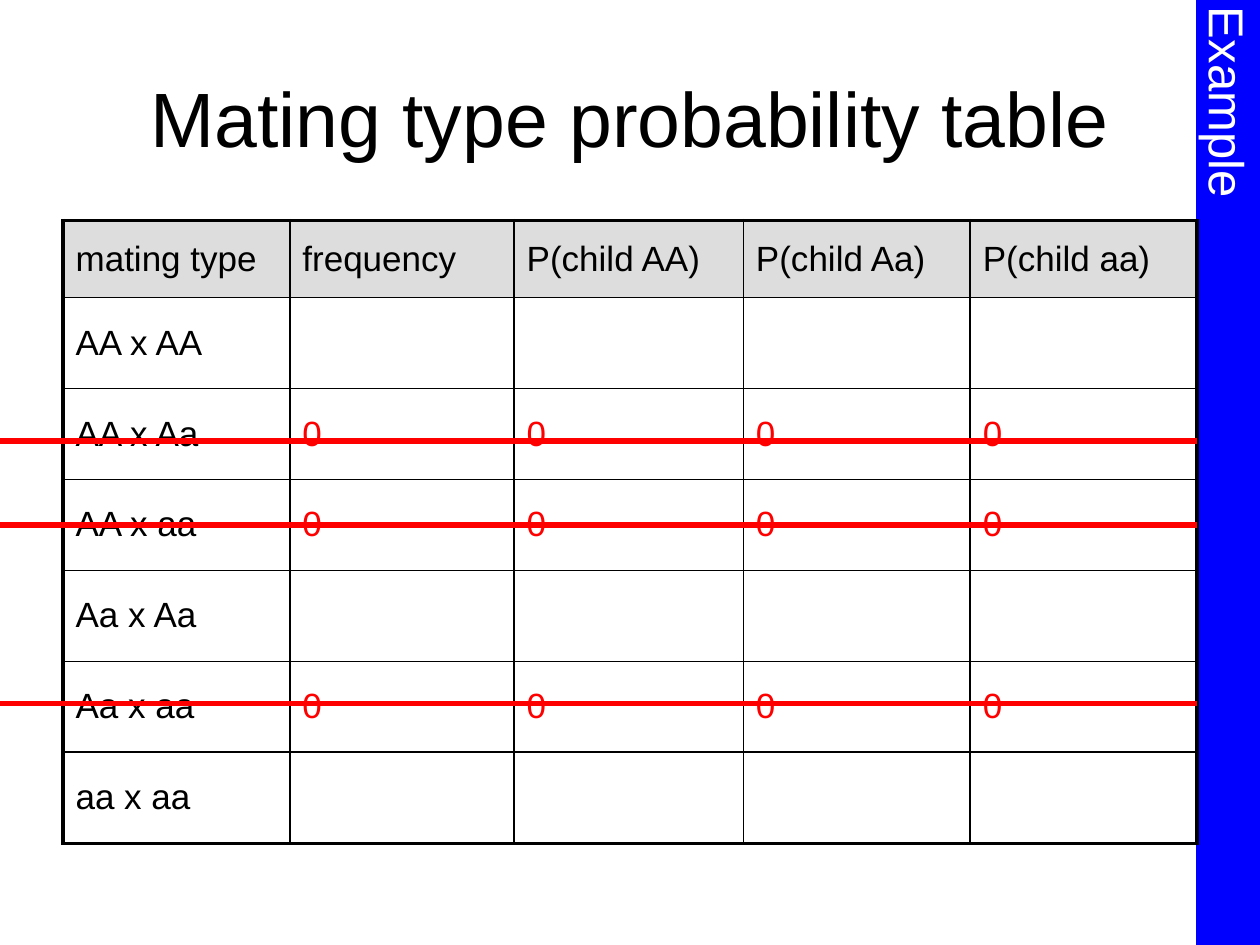
"""Build the mating type probability table slide."""
from typing import NamedTuple

from lxml import etree
from pptx import Presentation
from pptx import util as u
from pptx.dml import color as col
from pptx.enum import shapes as sh, text as tx
from pptx.oxml import ns

HUES = {"ink": "000000", "mark": "FF0000", "band": "0000FF", "head": "DDDDDD", "pale": "FFFFFF"}
FONT = "Arial"
THIN, THICK = 1, 2.25
WIDE, HIGH = 720, 540
LEFT, TOP = 36, 126
COLS = (129.6, 128.16, 131.04, 129.6, 129.6)
HEAD_ROW, BODY_ROW = 43.92, 52
HEADS = ("mating type", "frequency", "P(child AA)", "P(child Aa)", "P(child aa)")


class Mating(NamedTuple):
    name: str
    value: str = ""


class Strike(NamedTuple):
    y: float


MATINGS = (
    Mating("AA x AA"), Mating("AA x Aa", "0"), Mating("AA x aa", "0"),
    Mating("Aa x Aa"), Mating("Aa x aa", "0"), Mating("aa x aa"),
)
STRIKES = (Strike(252), Strike(300), Strike(402))


def hue(name: str) -> col.RGBColor:
    return col.RGBColor.from_string(HUES[name])


def write(frame, words: str, size: float, tint: str, align=tx.PP_ALIGN.LEFT) -> None:
    frame.text = words
    frame.vertical_anchor = tx.MSO_ANCHOR.MIDDLE
    para = frame.paragraphs[0]
    para.alignment = align
    for font in [para.font] + [run.font for run in para.runs]:
        font.size = u.Pt(size)
        font.name = FONT
        font.color.rgb = hue(tint)


def border(cell, side: str, width: float) -> None:
    props = cell._tc.get_or_add_tcPr()
    line = etree.SubElement(props, ns.qn(f"a:ln{side}"), w=str(u.Pt(width)))
    fill = etree.SubElement(line, ns.qn("a:solidFill"))
    etree.SubElement(fill, ns.qn("a:srgbClr"), val=HUES["ink"])


def add_band(slide) -> None:
    band = slide.shapes.add_shape(
        sh.MSO_SHAPE.RECTANGLE, u.Pt(684), u.Pt(0), u.Pt(36), u.Pt(HIGH))
    band.shadow.inherit = False
    band.fill.solid()
    band.fill.fore_color.rgb = hue("band")
    band.line.color.rgb = hue("band")
    band.line.width = u.Pt(1)
    frame = band.text_frame
    write(frame, "Example", 28, "pale")
    frame.word_wrap = True
    frame.margin_left = frame.margin_right = u.Pt(0)
    frame.margin_top = u.Pt(4)
    frame._txBody.bodyPr.set("vert", "eaVert")


def add_title(slide) -> None:
    box = slide.shapes.add_textbox(u.Pt(LEFT), u.Pt(21.6), u.Pt(648), u.Pt(90))
    box.text_frame.word_wrap = True
    write(box.text_frame, "Mating type probability table", 44, "ink", tx.PP_ALIGN.CENTER)


def add_grid(slide) -> None:
    rows = [HEADS] + [(m.name,) + (m.value,) * (len(COLS) - 1) for m in MATINGS]
    high = [HEAD_ROW] + [BODY_ROW] * len(MATINGS)
    grid = slide.shapes.add_table(
        len(rows), len(COLS), u.Pt(LEFT), u.Pt(TOP), u.Pt(sum(COLS)), u.Pt(sum(high))).table
    grid.first_row = grid.horz_banding = False
    for c, width in enumerate(COLS):
        grid.columns[c].width = u.Pt(width)
    for r, row in enumerate(rows):
        grid.rows[r].height = u.Pt(high[r])
        for c, words in enumerate(row):
            cell = grid.cell(r, c)
            write(cell.text_frame, words, 20, "mark" if r and c else "ink")
            cell.text_frame.paragraphs[0].space_before = u.Pt(4)
            cell.vertical_anchor = tx.MSO_ANCHOR.MIDDLE
            edges = {"L": c == 0, "R": c == len(COLS) - 1, "T": r == 0, "B": r == len(rows) - 1}
            for side, outer in edges.items():
                border(cell, side, THICK if outer else THIN)
            if r == 0:
                cell.fill.solid()
                cell.fill.fore_color.rgb = hue("head")
            else:
                cell.fill.background()


def add_strike(slide, strike: Strike) -> None:
    line = slide.shapes.add_connector(
        sh.MSO_CONNECTOR.STRAIGHT, u.Pt(0), u.Pt(strike.y), u.Pt(684), u.Pt(strike.y))
    line.line.color.rgb = hue("mark")
    line.line.width = u.Pt(3)
    etree.SubElement(line._element.spPr, ns.qn("a:effectLst"))


def main() -> None:
    deck = Presentation()
    deck.slide_width, deck.slide_height = u.Pt(WIDE), u.Pt(HIGH)
    slide = deck.slides.add_slide(deck.slide_layouts[6])
    add_band(slide)
    add_title(slide)
    add_grid(slide)
    for strike in STRIKES:
        add_strike(slide, strike)
    deck.save("out.pptx")


main()
